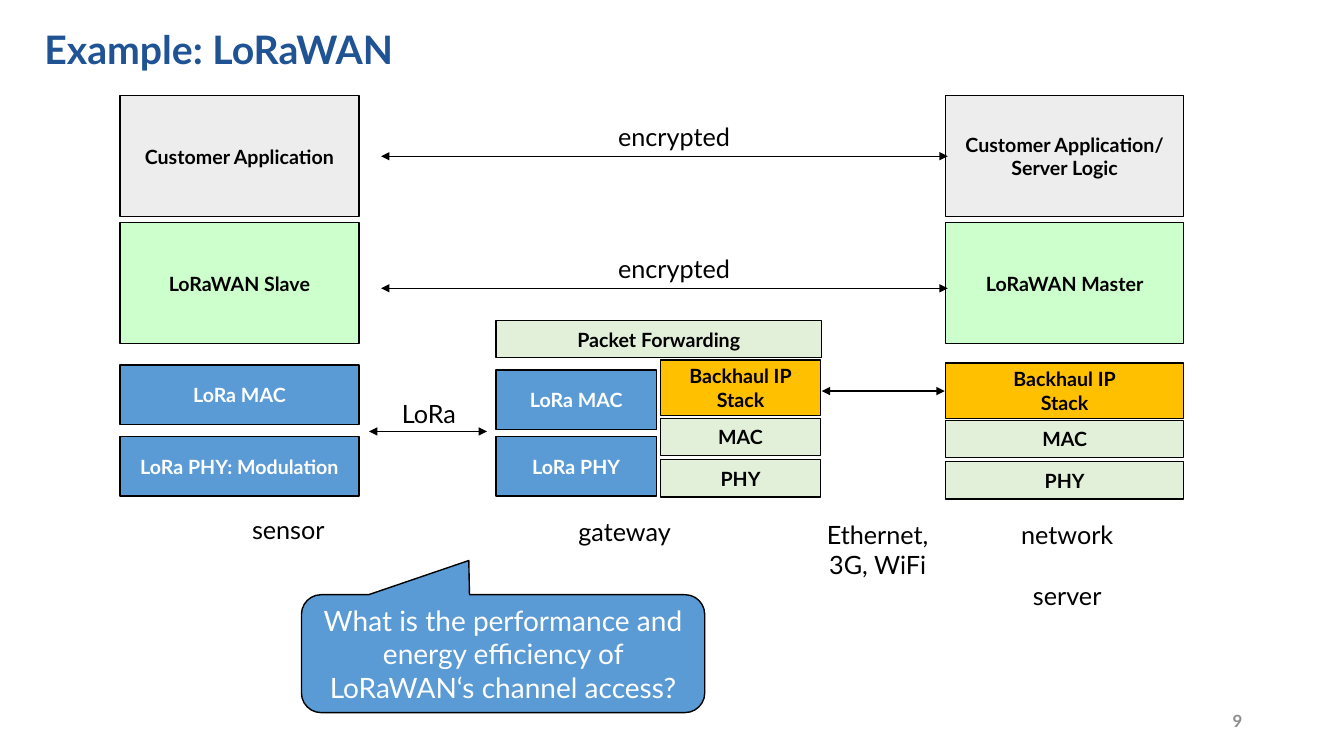
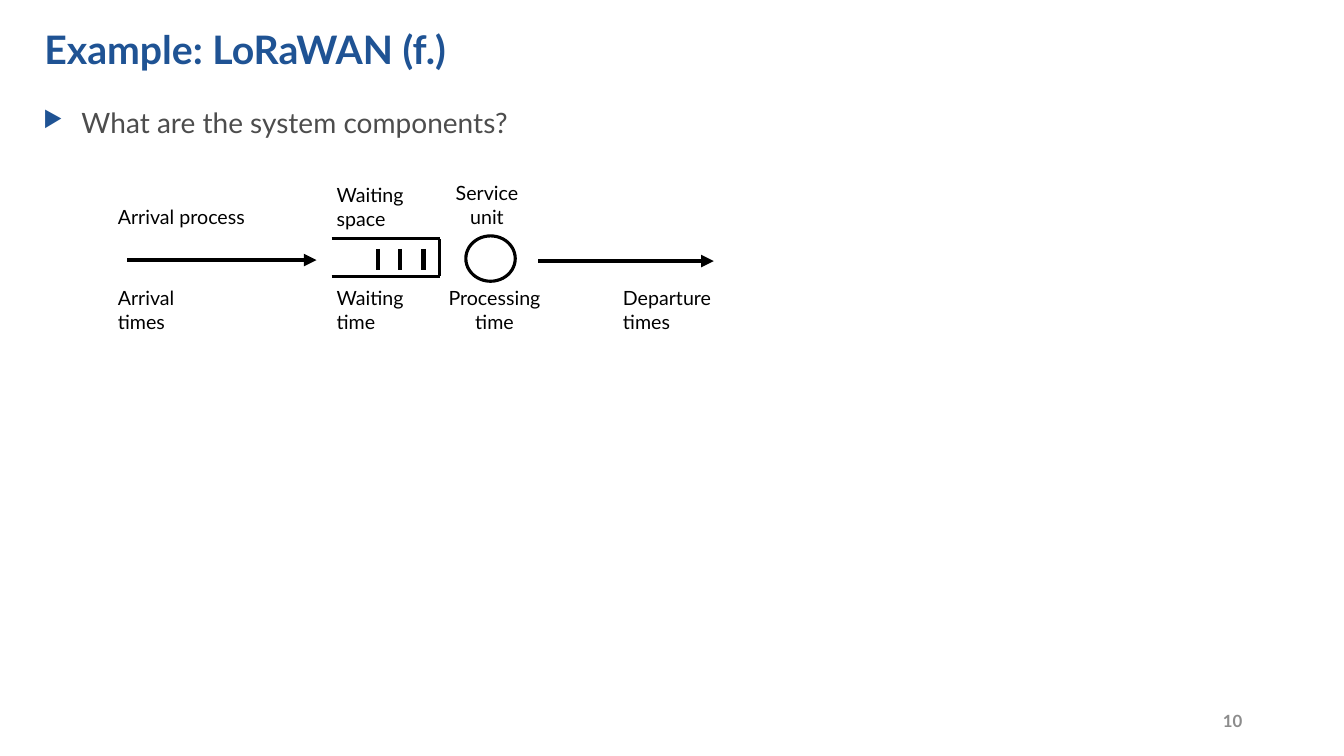
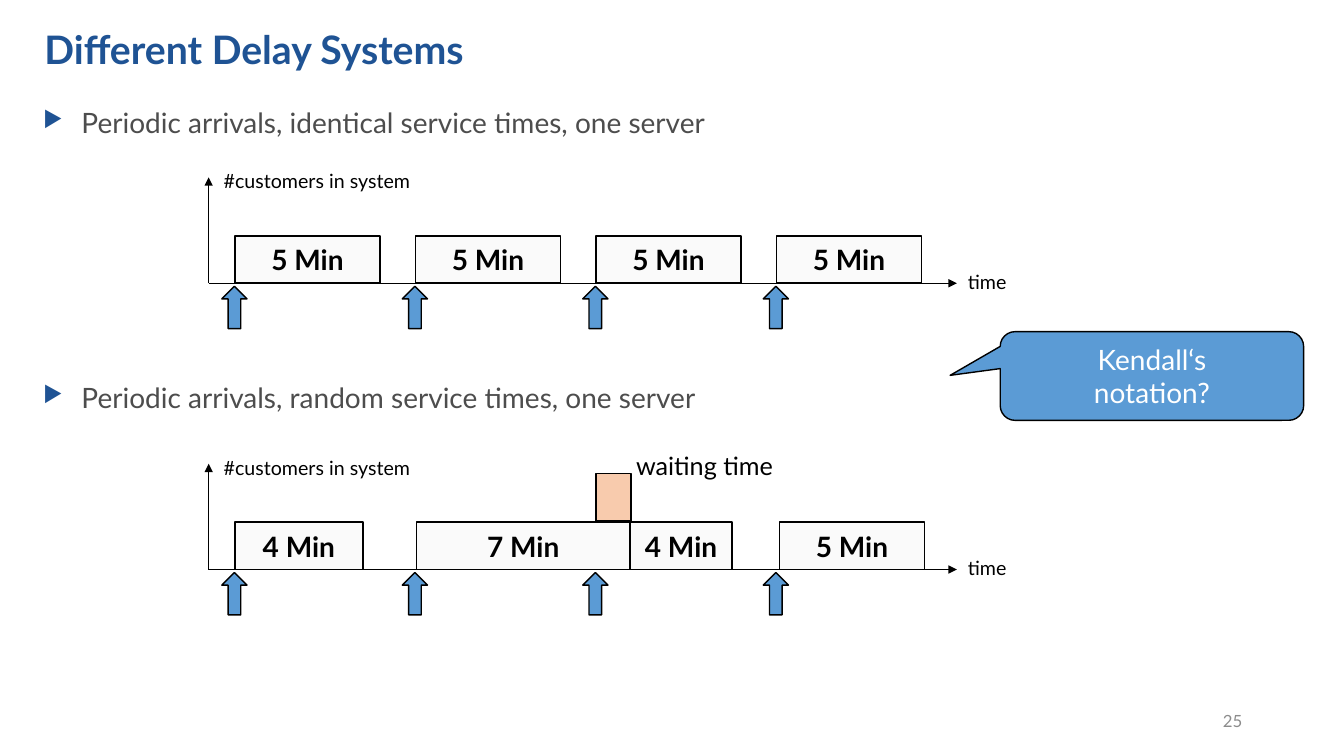
from lxml import etree
from pptx import Presentation
from pptx.dml.color import RGBColor
from pptx.enum import shapes, text
from pptx.oxml import ns
from pptx.util import Inches, Pt

FONT = "Lato"
BLACK, WHITE, BLUE = "000000", "FFFFFF", "5B9BD5"
TITLE_BLUE, BODY_GREY, FOOTER_GREY = "1F5394", "4D4D4D", "8C8C8C"
BAR_GREY, WAIT_ORANGE = "FAFAFA", "F8CBAD"
LEFT, CENTER, RIGHT = text.PP_ALIGN.LEFT, text.PP_ALIGN.CENTER, text.PP_ALIGN.RIGHT
KIND = shapes.MSO_SHAPE

# Protocol stacks: left, width, boxes of (text, top, height, fill, text colour)
APP, LORAWAN, IP, PALE = "EDEDED", "CCFFCC", "FFC000", "E2F0D9"
STACKS = [
    (1.19, 2.37, [("Customer Application", 0.95, 1.2, APP, BLACK),
                  ("LoRaWAN Slave", 2.21, 1.2, LORAWAN, BLACK),
                  ("LoRa MAC", 3.62, 0.59, BLUE, WHITE),
                  ("LoRa PHY: Modulation", 4.33, 0.59, BLUE, WHITE)]),
    (4.92, 3.23, [("Packet Forwarding", 3.18, 0.37, PALE, BLACK)]),
    (4.92, 1.59, [("LoRa MAC", 3.67, 0.59, BLUE, WHITE),
                  ("LoRa PHY", 4.33, 0.59, BLUE, WHITE)]),
    (6.55, 1.59, [("Backhaul IP\nStack", 3.57, 0.55, IP, BLACK),
                  ("MAC", 4.15, 0.37, PALE, BLACK),
                  ("PHY", 4.56, 0.37, PALE, BLACK)]),
    (9.38, 2.36, [("Customer Application/ Server Logic", 0.95, 1.2, APP, BLACK),
                  ("LoRaWAN Master", 2.21, 1.2, LORAWAN, BLACK),
                  ("Backhaul IP\nStack", 3.6, 0.55, IP, BLACK),
                  ("MAC", 4.17, 0.37, PALE, BLACK),
                  ("PHY", 4.58, 0.37, PALE, BLACK)]),
]
# Links: from x, to x, y
LINKS = [(3.78, 9.4, 1.55), (3.78, 9.4, 2.86), (3.66, 4.83, 4.28), (8.15, 9.37, 3.88)]
# Labels: text, left, top, width, height
STACK_LABELS = [
    ("encrypted", 6.02, 1.15, 1.33, 0.4),
    ("encrypted", 6.02, 2.46, 1.33, 0.4),
    ("LoRa", 3.59, 3.9, 1.33, 0.4),
    ("sensor", 2.4, 5.05, 0.92, 0.4),
    ("gateway", 5.63, 5.07, 1.13, 0.4),
    ("Ethernet,\n3G, WiFi", 8.04, 5.1, 1.33, 0.71),
]
# Queue labels: text, left, top, width, alignment
QUEUE_LABELS = [
    ("Arrival process", 1.07, 1.98, 1.47, LEFT),
    ("Arrival\ntimes", 1.07, 2.79, 0.77, LEFT),
    ("Waiting\nspace", 3.24, 1.77, 0.87, LEFT),
    ("Waiting\ntime", 3.24, 2.79, 0.87, LEFT),
    ("Service\nunit", 4.42, 1.75, 0.82, CENTER),
    ("Processing\ntime", 4.34, 2.79, 1.13, CENTER),
    ("Departure\ntimes", 6.08, 2.79, 1.08, LEFT),
]
# Queue lines: from x, from y, to x, to y, width, arrow
QUEUE_LINES = [
    (3.29, 2.37, 4.36, 2.37, 2.25, False),
    (4.36, 2.37, 4.36, 2.74, 2.25, False),
    (3.29, 2.74, 4.36, 2.74, 2.25, False),
    *[(x, 2.47, x, 2.68, 3, False) for x in (3.75, 3.97, 4.2)],
    (1.26, 2.58, 3.14, 2.58, 3, True),
    (5.34, 2.59, 7.08, 2.59, 3, True),
]
ARRIVALS = [2.33 + 1.79 * i for i in range(4)]
# Timelines: y of the time axis, bars of (text, left, width)
TIMELINES = [
    (2.81, [("5 Min", x, 1.44) for x in ARRIVALS]),
    (5.65, [("4 Min", 2.33, 1.27), ("7 Min", 4.13, 2.12),
            ("4 Min", 6.25, 1.01), ("5 Min", 7.73, 1.44)]),
]


def rgb(value):
    return RGBColor.from_string(value)


def inches(*values):
    return [Inches(value) for value in values]


def add_xml(parent, tag, **attributes):
    return etree.SubElement(parent, ns.qn(tag), attributes)


def write(frame, words, size, color=BLACK, bold=False, align=CENTER,
          anchor=text.MSO_ANCHOR.MIDDLE, wrap=True, gap=0, bullet=False):
    """Fill a frame, one paragraph a line, with gap points between paragraphs."""
    frame.word_wrap = wrap
    frame.vertical_anchor = anchor
    for i, line in enumerate(words.split("\n")):
        para = frame.add_paragraph() if i else frame.paragraphs[0]
        para.alignment = align
        para.space_before = Pt(gap if i else 0)
        if bullet:
            add_bullet(para)
        span = para.add_run()
        span.text = line
        for name, value in dict(name=FONT, size=Pt(size), bold=bold).items():
            setattr(span.font, name, value)
        span.font.color.rgb = rgb(color)


def add_bullet(para):
    props = para._p.get_or_add_pPr()
    props.set("marL", str(Inches(0.38)))
    props.set("indent", str(Inches(-0.38)))
    add_xml(add_xml(props, "a:buClr"), "a:srgbClr", val=TITLE_BLUE)
    add_xml(props, "a:buSzPct", val="80000")
    add_xml(props, "a:buChar", char="▶")


def add_label(page, words, left, top, width, height, size, **style):
    box = page.shapes.add_textbox(*inches(left, top, width, height))
    style = dict(anchor=text.MSO_ANCHOR.TOP, wrap=False) | style
    write(box.text_frame, words, size, **style)


def add_shape(page, kind, left, top, width, height, fill=None, line=1):
    shape = page.shapes.add_shape(kind, *inches(left, top, width, height))
    shape.shadow.inherit = False
    if fill:
        shape.fill.solid()
        shape.fill.fore_color.rgb = rgb(fill)
    else:
        shape.fill.background()
    shape.line.color.rgb = rgb(BLACK)
    shape.line.width = Pt(line)
    return shape


def add_callout(page, words, place, pointer):
    callout = add_shape(page, KIND.ROUNDED_RECTANGULAR_CALLOUT, *place, fill=BLUE)
    for i, value in enumerate((*pointer, 0.167)):
        callout.adjustments[i] = value
    write(callout.text_frame, words, 20, WHITE)


def add_line(page, x1, y1, x2, y2, width=1, head=False, tail=False):
    line = page.shapes.add_connector(
        shapes.MSO_CONNECTOR.STRAIGHT, *inches(x1, y1, x2, y2))
    line.line.color.rgb = rgb(BLACK)
    line.line.width = Pt(width)
    props = line._element.spPr
    for tag, wanted in (("a:headEnd", head), ("a:tailEnd", tail)):
        if wanted:
            add_xml(props.find(ns.qn("a:ln")), tag, type="triangle")
    add_xml(props, "a:effectLst")


def add_page(deck, title, number, bold_number=True, bullets=""):
    page = deck.slides.add_slide(deck.slide_layouts[5])
    heading = page.shapes.title
    place = dict(zip(("left", "top", "width", "height"),
                     inches(0.34, 0.13, 11.66, 0.71)))
    for name, value in place.items():
        setattr(heading, name, value)
    write(heading.text_frame, title, 28, TITLE_BLUE, bold=True, align=LEFT)
    if bullets:
        add_label(page, bullets, 0.33, 1, 11.67, 5.58, 20, color=BODY_GREY,
                  align=LEFT, wrap=True, gap=172, bullet=True)
    add_label(page, number, 9.42, 6.95, 3, 0.4, 12, color=FOOTER_GREY,
              bold=bold_number, align=RIGHT, wrap=True,
              anchor=text.MSO_ANCHOR.MIDDLE)
    return page


def add_timeline(page, base, bars):
    for words, left, width in bars:
        bar = add_shape(page, KIND.RECTANGLE, left, base - 0.47, width, 0.47, BAR_GREY)
        write(bar.text_frame, words, 20, bold=True)
    add_line(page, 2.07, base, 2.07, base - 1.05, tail=True)
    add_line(page, 2.07, base, 9.49, base, tail=True)
    add_label(page, "#customers in system", 2.12, base - 1.18, 2.08, 0.34, 14, align=LEFT)
    add_label(page, "time", 9.5, base - 0.18, 0.59, 0.34, 14, align=LEFT)
    for x in ARRIVALS:
        add_shape(page, KIND.UP_ARROW, x - 0.13, base + 0.03, 0.25, 0.42, BLUE)


def build_stack_page(deck):
    page = add_page(deck, "Example: LoRaWAN", "9")
    for left, width, boxes in STACKS:
        for words, top, height, fill, color in boxes:
            box = add_shape(page, KIND.RECTANGLE, left, top, width, height, fill)
            write(box.text_frame, words, 14, color, bold=True)
    for x1, x2, y in LINKS:
        add_line(page, x1, y, x2, y, head=True, tail=True)
    for label in STACK_LABELS:
        add_label(page, *label, 18)
    add_label(page, "network\nserver", 10, 5.1, 1.17, 1, 18, gap=22)
    add_callout(page, "What is the performance and energy efficiency of "
                "LoRaWAN‘s channel access?", (2.99, 5.9, 4, 1.17), (-0.085, -0.79))


def build_queue_page(deck):
    page = add_page(deck, "Example: LoRaWAN (f.)", "10",
                    bullets="What are the system components?")
    for x1, y1, x2, y2, width, arrow in QUEUE_LINES:
        add_line(page, x1, y1, x2, y2, width, tail=arrow)
    add_shape(page, KIND.OVAL, 4.62, 2.34, 0.49, 0.45, line=2.25)
    for words, left, top, width, align in QUEUE_LABELS:
        height = 0.57 if "\n" in words else 0.34
        add_label(page, words, left, top, width, height, 14, align=align)


def build_delay_page(deck):
    page = add_page(deck, "Different Delay Systems", "25", bold_number=False,
                    bullets="Periodic arrivals, identical service times, one server\n"
                            "Periodic arrivals, random service times, one server")
    for base, bars in TIMELINES:
        add_timeline(page, base, bars)
    add_shape(page, KIND.RECTANGLE, 5.91, 4.7, 0.35, 0.47, WAIT_ORANGE)
    add_label(page, "waiting time", 6.21, 4.42, 1.62, 0.4, 18, align=LEFT)
    add_callout(page, "Kendall‘s\nnotation?", (9.92, 3.29, 3.01, 0.88), (-0.665, -0.007))


def main():
    deck = Presentation()
    deck.slide_width, deck.slide_height = inches(13.33, 7.5)
    build_stack_page(deck)
    build_queue_page(deck)
    build_delay_page(deck)
    deck.save("out.pptx")


if __name__ == "__main__":
    main()
